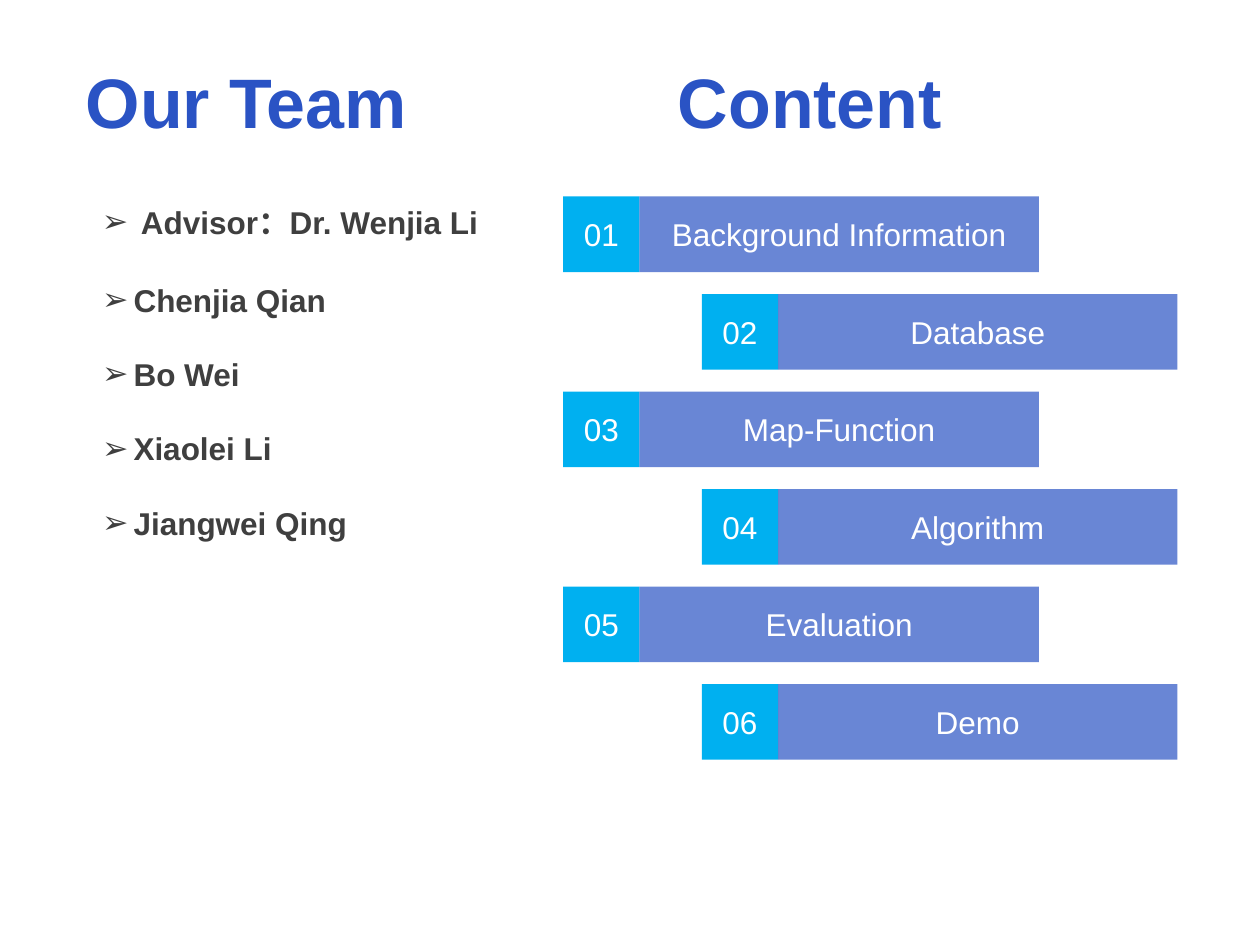
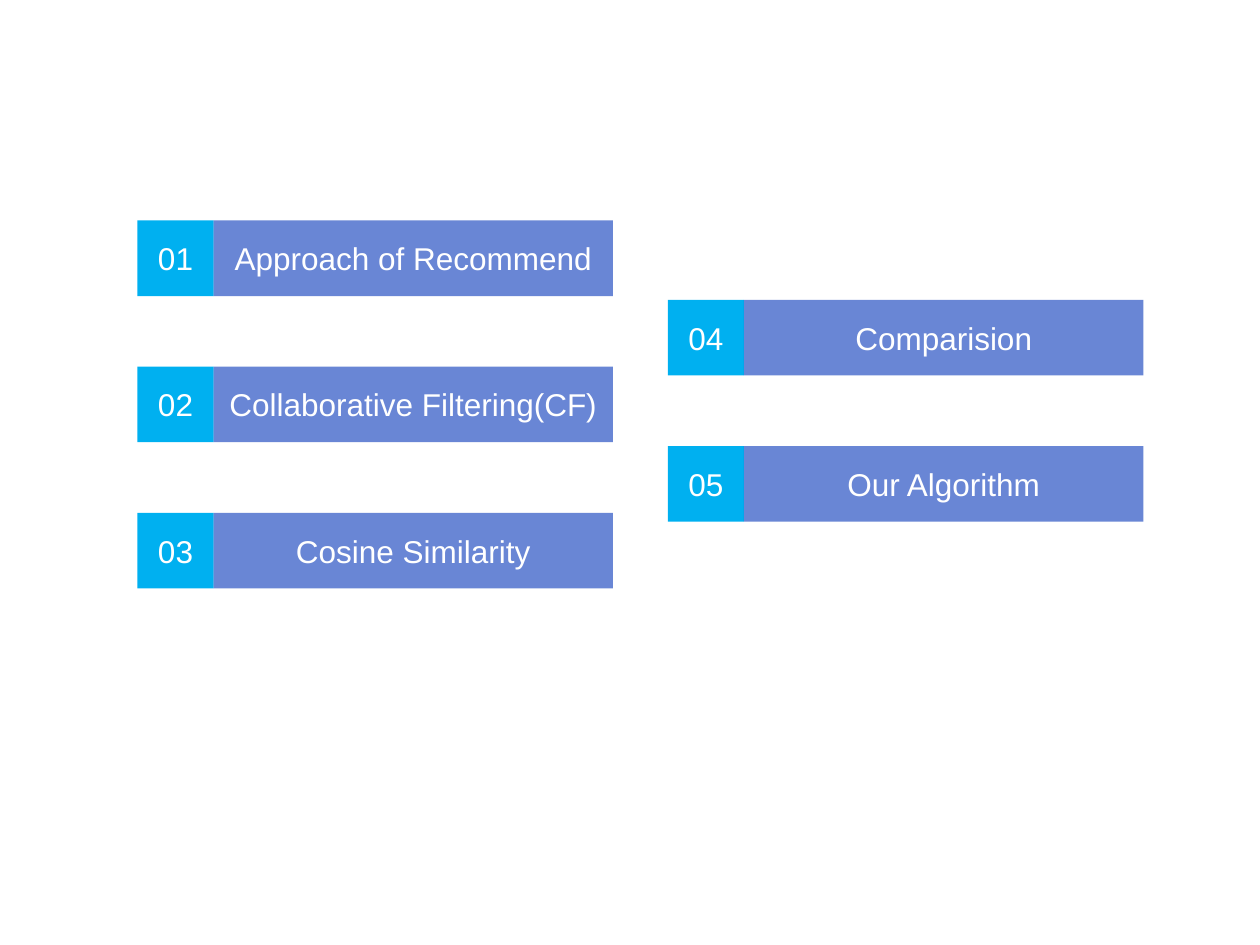
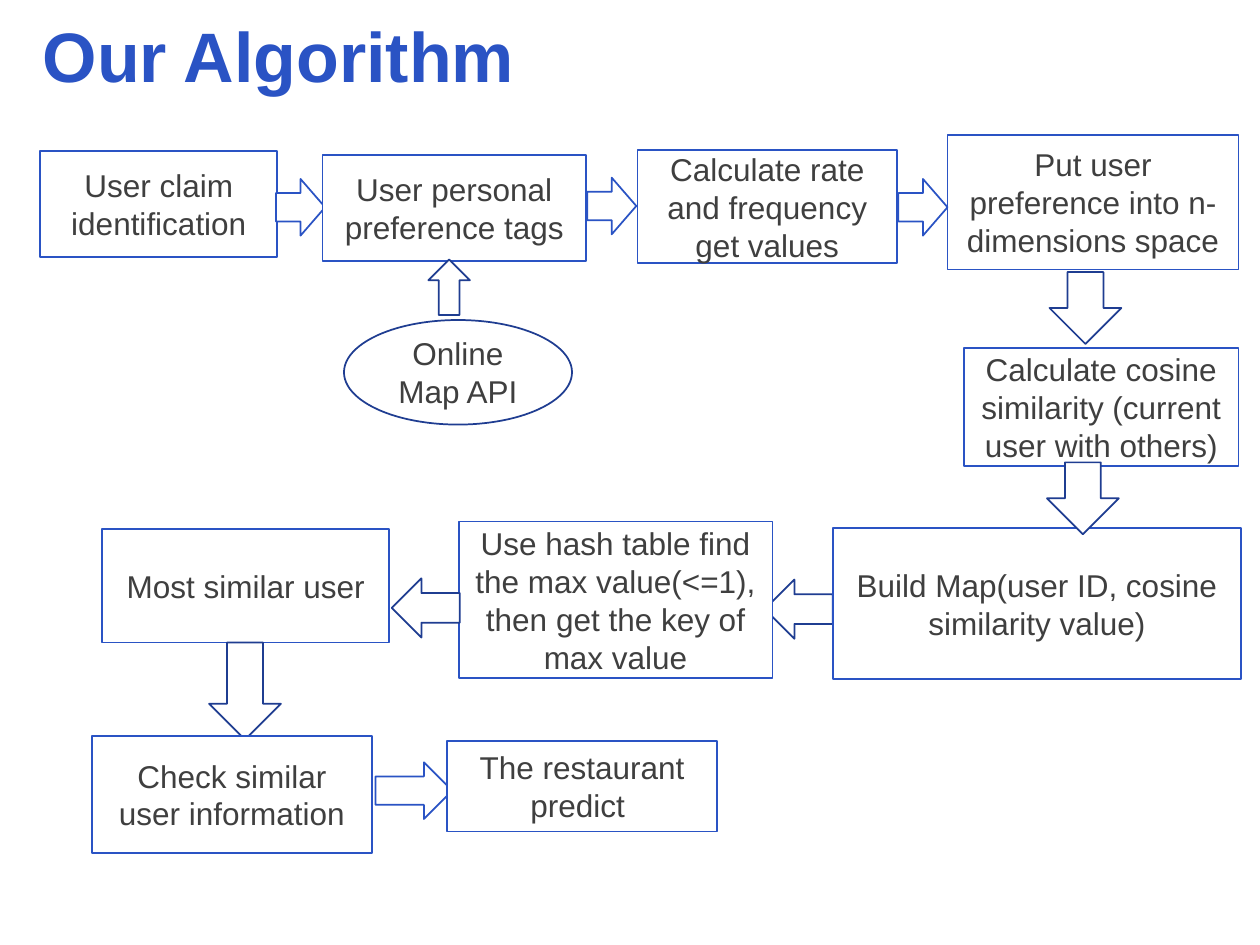
from lxml.etree import SubElement
from pptx import Presentation
from pptx.dml.color import RGBColor
from pptx.enum.shapes import MSO_SHAPE as Preset
from pptx.enum.text import MSO_ANCHOR as Anchor, MSO_AUTO_SIZE as AutoSize, PP_ALIGN as Align
from pptx.oxml.ns import qn
from pptx.util import Inches, Pt

BLUE, NAVY, CYAN = "2A53C4", "1F3D91", "00B0F0"
WHITE, GREY = "FFFFFF", "3F3F3F"
FONT = "Arial"
COLUMNS, ROWS = 100, 75
TITLE_ONLY, TITLE_AND_BODY, BLANK = 5, 1, 6

CONTENTS = ["Background Information", "Database", "Map-Function",
            "Algorithm", "Evaluation", "Demo"]
METHODS = ["Approach of Recommend", "Collaborative Filtering(CF)",
           "Cosine Similarity", "Comparision", "Our Algorithm"]
TEAM = ["Chenjia Qian", "Bo Wei", "Xiaolei Li", "Jiangwei Qing"]

# Steps and arrows from back to front: preset, grid place, text
FLOW = [
    (Preset.RECTANGLE, (3.2, 12, 18.8, 8.4), "User claim identification"),
    (Preset.RIGHT_ARROW, (21.9, 14.2, 3.9, 4.5), ""),
    (Preset.RECTANGLE, (25.6, 12.3, 20.9, 8.4), "User personal preference tags"),
    (Preset.OVAL, (27.3, 25.4, 18.1, 8.3), "Online Map API"),
    (Preset.UP_ARROW, (34, 20.6, 3.3, 4.4), ""),
    (Preset.RECTANGLE, (75.2, 10.7, 23.1, 10.7),
     "Put user preference into n-dimensions space"),
    (Preset.RECTANGLE, (50.6, 11.9, 20.6, 9),
     "Calculate rate and frequency get values"),
    (Preset.DOWN_ARROW, (83.3, 21.6, 5.7, 5.7), ""),
    (Preset.RECTANGLE, (76.5, 27.6, 21.8, 9.4),
     "Calculate cosine similarity (current user with others)"),
    (Preset.LEFT_ARROW, (60.7, 46, 5.4, 4.7), ""),
    (Preset.RECTANGLE, (66.1, 41.9, 32.4, 12),
     "Build Map(user ID, cosine similarity value)"),
    (Preset.RIGHT_ARROW, (46.6, 14.1, 3.9, 4.5), ""),
    (Preset.RIGHT_ARROW, (71.3, 14.2, 3.9, 4.5), ""),
    (Preset.DOWN_ARROW, (83.1, 36.7, 5.7, 5.7), ""),
    (Preset.RECTANGLE, (36.4, 41.4, 24.9, 12.4),
     "Use hash table find the max value(<=1), then get the key of max value"),
    (Preset.LEFT_ARROW, (31.1, 45.9, 5.4, 4.7), ""),
    (Preset.RECTANGLE, (8.1, 42, 22.8, 9), "Most similar user"),
    (Preset.DOWN_ARROW, (16.6, 51, 5.7, 7.7), ""),
    (Preset.RECTANGLE, (7.3, 58.4, 22.2, 9.3), "Check similar user information"),
    (Preset.RIGHT_ARROW, (29.8, 60.5, 6.1, 4.5), ""),
    (Preset.RECTANGLE, (35.5, 58.8, 21.4, 7.2), "The restaurant predict "),
]


def color(hex_code):
    return RGBColor.from_string(hex_code)


class Deck:
    """Holds the shared style, the grid and the slide being built."""

    def __init__(self):
        self.presentation = Presentation()
        self.presentation.slide_width = Inches(10)
        self.presentation.slide_height = Inches(7.5)
        self.column = self.presentation.slide_width / COLUMNS
        self.row = self.presentation.slide_height / ROWS
        self.slide = None

    def new_slide(self, layout):
        layouts = self.presentation.slide_layouts
        self.slide = self.presentation.slides.add_slide(layouts[layout])

    def emu(self, place):
        """Turn (column, row, columns, rows) into slide lengths."""
        left, top, width, height = place
        return (round(left * self.column), round(top * self.row),
                round(width * self.column), round(height * self.row))

    def move(self, shape, place):
        shape.left, shape.top, shape.width, shape.height = self.emu(place)

    def add_text(self, paragraph, text, size, hex_code, bold=False):
        run = paragraph.add_run()
        run.text = text
        run.font.name, run.font.size, run.font.bold = FONT, Pt(size), bold
        run.font.color.rgb = color(hex_code)

    def title(self, text, place, anchor, line_spacing=1.0, tab=None):
        shape = self.slide.shapes.title
        self.move(shape, place)
        frame = shape.text_frame
        frame.auto_size, frame.vertical_anchor = AutoSize.NONE, anchor
        paragraph = frame.paragraphs[0]
        paragraph.alignment, paragraph.line_spacing = Align.LEFT, line_spacing
        if tab:
            tabs = SubElement(paragraph._p.get_or_add_pPr(), qn("a:tabLst"))
            SubElement(tabs, qn("a:tab"), pos=str(round(tab * self.column)), algn="l")
        self.add_text(paragraph, text, 40, BLUE, bold=True)

    def bullets(self, shape, items, indent, line_spacing=1.0, gap=0):
        frame = shape.text_frame
        frame.word_wrap, frame.auto_size = True, AutoSize.NONE
        frame.vertical_anchor = Anchor.TOP
        for index, item in enumerate(items):
            paragraph = frame.add_paragraph() if index else frame.paragraphs[0]
            properties = paragraph._p.get_or_add_pPr()
            hang = round(indent * self.column)
            properties.set("marL", str(hang))
            properties.set("indent", str(-hang))
            SubElement(properties, qn("a:buFont"), typeface=FONT)
            SubElement(properties, qn("a:buChar"), char="➢")
            paragraph.line_spacing = line_spacing
            paragraph.space_before = Pt(gap if index else 0)
            self.add_text(paragraph, item, 18, GREY, bold=True)

    def body(self, items, place, **style):
        shape = self.slide.placeholders[1]
        self.move(shape, place)
        self.bullets(shape, items, **style)

    def bullet_box(self, items, place, **style):
        self.bullets(self.slide.shapes.add_textbox(*self.emu(place)), items, **style)

    def shape(self, preset, place, text="", fill=WHITE, line=None,
              text_color=GREY, opacity=None, parent=None):
        shape = (parent or self.slide).shapes.add_shape(preset, *self.emu(place))
        shape.shadow.inherit = False
        shape.fill.solid()
        shape.fill.fore_color.rgb = color(fill)
        if opacity:
            fill_color = shape.element.spPr.find(qn("a:solidFill")).find(qn("a:srgbClr"))
            SubElement(fill_color, qn("a:alpha"), val=str(opacity * 1000))
        if line:
            shape.line.color.rgb, shape.line.width = color(line), Pt(1)
        else:
            shape.line.fill.background()
        if text:
            frame = shape.text_frame
            frame.word_wrap, frame.vertical_anchor = True, Anchor.MIDDLE
            frame.paragraphs[0].alignment = Align.CENTER
            self.add_text(frame.paragraphs[0], text, 18, text_color)

    def numbered_band(self, number, text, left, top):
        group = self.slide.shapes.add_group_shape()
        self.shape(Preset.RECTANGLE, (left, top, 6.05, 6), f"{number:02}", CYAN,
                   text_color=WHITE, parent=group)
        self.shape(Preset.RECTANGLE, (left + 6.05, top, 31.7, 6), text, BLUE,
                   text_color=WHITE, opacity=70, parent=group)


def team_slide(deck):
    deck.new_slide(TITLE_AND_BODY)
    deck.title("Our Team\tContent", (5.8, 4.9, 86.2, 10.7), Anchor.TOP,
               line_spacing=0.9, tab=47)
    deck.body(TEAM, (7.1, 20.3, 35, 25), indent=2.5, line_spacing=1.5, gap=10)
    for index, topic in enumerate(CONTENTS):
        deck.numbered_band(index + 1, topic, 44.7 + 11 * (index % 2),
                           15.6 + 38.7 * index / 5)
    deck.bullet_box(["Advisor：Dr. Wenjia Li"], (7.1, 15.6, 31.9, 4), indent=3.1)


def methods_slide(deck):
    deck.new_slide(BLANK)
    for index, method in enumerate(METHODS):
        side, step = divmod(index, 3)
        deck.numbered_band(index + 1, method, 10.9 + 42.1 * side,
                           17.5 + 6.3 * side + 11.6 * step)


def algorithm_slide(deck):
    deck.new_slide(TITLE_ONLY)
    deck.title("Our Algorithm", (2.4, 0, 74.6, 8.2), Anchor.BOTTOM)
    for preset, place, text in FLOW:
        line = BLUE if preset in (Preset.RECTANGLE, Preset.RIGHT_ARROW) else NAVY
        deck.shape(preset, place, text, line=line)


def main():
    deck = Deck()
    team_slide(deck)
    methods_slide(deck)
    algorithm_slide(deck)
    deck.presentation.save("out.pptx")


if __name__ == "__main__":
    main()
